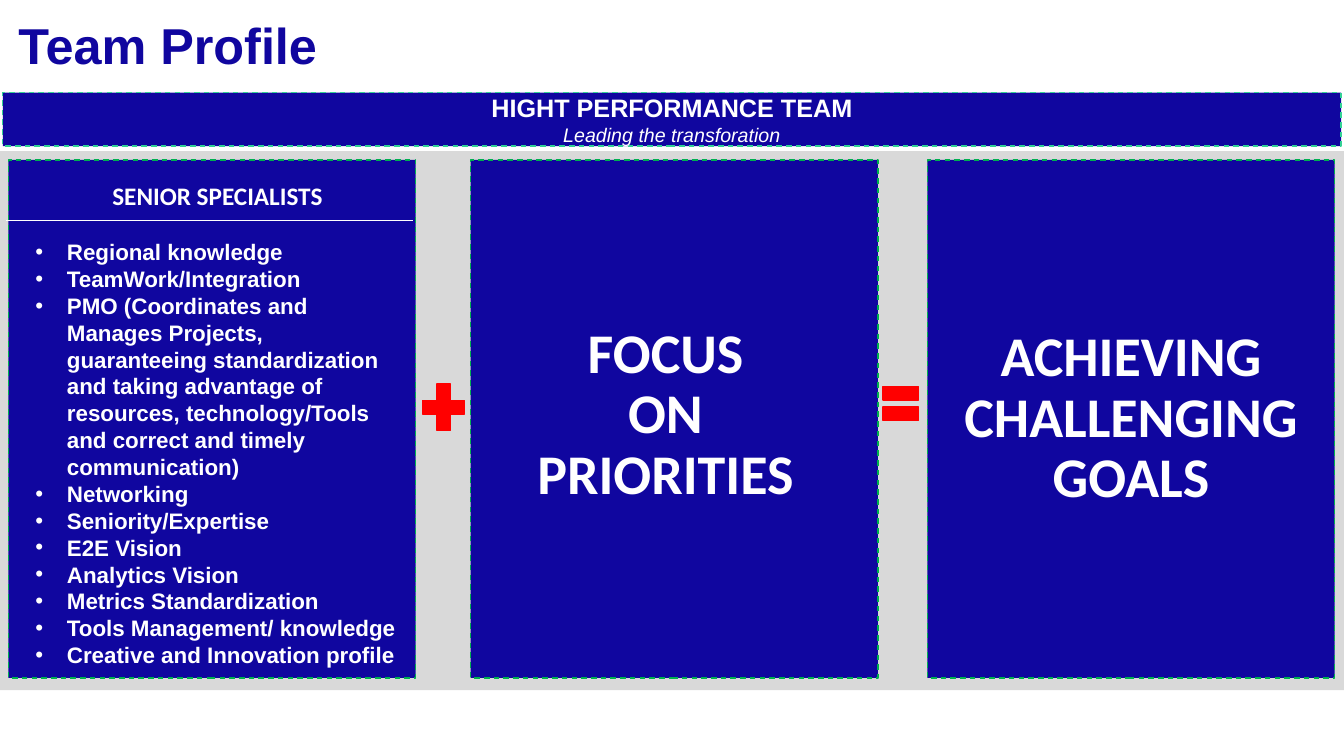
from pptx import Presentation
from pptx.dml.color import RGBColor
from pptx.enum.dml import MSO_LINE
from pptx.enum.shapes import MSO_CONNECTOR, MSO_SHAPE
from pptx.enum.text import MSO_ANCHOR, MSO_AUTO_SIZE, PP_ALIGN
from pptx.oxml.ns import qn
from pptx.util import Pt
from lxml import etree

RECT, PLUS, EQUAL = MSO_SHAPE.RECTANGLE, MSO_SHAPE.MATH_PLUS, MSO_SHAPE.MATH_EQUAL
LEFT, CENTER = PP_ALIGN.LEFT, PP_ALIGN.CENTER
TOP, MIDDLE = MSO_ANCHOR.TOP, MSO_ANCHOR.MIDDLE
DASH = MSO_LINE.DASH
NAVY, WHITE, GRAY, RED = "10069F", "FFFFFF", "D9D9D9", "FF0000"
MINT, GREEN = "33D196", "00B050"

TITLE = "Team Profile"
BANNER = "HIGHT PERFORMANCE TEAM"
MOTTO = "Leading the transforation"
HEADING = "SENIOR SPECIALISTS"
SKILLS = [
    "Regional knowledge",
    "TeamWork/Integration",
    "PMO (Coordinates and Manages Projects, guaranteeing standardization and taking "
    "advantage of resources, technology/Tools and correct and timely communication)",
    "Networking",
    "Seniority/Expertise",
    "E2E Vision",
    "Analytics Vision",
    "Metrics Standardization",
    "Tools Management/ knowledge",
    "Creative and Innovation profile",
]
FOCUS = ["FOCUS ", "ON ", "PRIORITIES "]
GOALS = ["ACHIEVING", "CHALLENGING", "GOALS"]

SLIDE_W, SLIDE_H = 960, 540
PANEL_LEFTS = [6, 336.2, 662.4]
PANEL_TOP, PANEL_W, PANEL_H = 114.2, 291, 370
SIGNS = [(PLUS, 296.4, 268.2, 41, 45.4), (EQUAL, 626.2, 267.8, 34.6, 41)]
INDENT = 22.5


def color(value):
    return RGBColor.from_string(value)


def add_box(s, kind, left, top, width, height, fill, line=None, dash=None):
    sp = s.shapes.add_shape(kind, Pt(left), Pt(top), Pt(width), Pt(height))
    sp.shadow.inherit = False
    sp.fill.solid()
    sp.fill.fore_color.rgb = color(fill)
    if line:
        sp.line.color.rgb = color(line)
        sp.line.width = Pt(1)
        sp.line.dash_style = dash
    else:
        sp.line.fill.background()
    return sp


def add_text_box(s, left, top, width, height):
    return s.shapes.add_textbox(Pt(left), Pt(top), Pt(width), Pt(height))


def set_frame(tf, anchor):
    tf.word_wrap = True
    tf.auto_size = MSO_AUTO_SIZE.NONE
    tf.vertical_anchor = anchor


def add_line(tf, text, size, font="Arial", fill=WHITE, align=CENTER,
             bold=True, italic=False, spacing=None):
    """Fill the first paragraph of a frame, or append one when it is taken."""
    p = tf.paragraphs[0] if not tf.paragraphs[0].runs else tf.add_paragraph()
    p.alignment = align
    p.line_spacing = spacing
    r = p.add_run()
    r.text = text
    r.font.name, r.font.size = font, Pt(size)
    r.font.bold, r.font.italic = bold, italic
    r.font.color.rgb = color(fill)
    return p


def add_bullet(p):
    pPr = p._p.get_or_add_pPr()
    pPr.set("marL", str(Pt(INDENT)))
    pPr.set("indent", str(-Pt(INDENT)))
    etree.SubElement(pPr, qn("a:buFont")).set("typeface", "Arial")
    etree.SubElement(pPr, qn("a:buChar")).set("char", "•")


def add_slogan(tf, lines, anchor):
    set_frame(tf, anchor)
    for line in lines:
        add_line(tf, line, 40, "Calibri", spacing=0.9)


def main():
    prs = Presentation()
    prs.slide_width, prs.slide_height = Pt(SLIDE_W), Pt(SLIDE_H)
    s = prs.slides.add_slide(prs.slide_layouts[5])

    title = s.shapes.title
    title.left, title.top, title.width, title.height = Pt(6), Pt(-7), Pt(1002), Pt(83)
    set_frame(title.text_frame, MIDDLE)
    add_line(title.text_frame, TITLE, 36, fill=NAVY, align=LEFT, spacing=0.9)

    banner = add_box(s, RECT, 2, 66.2, 956, 38.2, NAVY, MINT, DASH)
    set_frame(banner.text_frame, MIDDLE)
    add_line(banner.text_frame, BANNER, 18)
    add_line(banner.text_frame, MOTTO, 14, bold=False, italic=True)

    add_box(s, RECT, 0, 108, SLIDE_W, 385, GRAY)
    panels = [add_box(s, RECT, left, PANEL_TOP, PANEL_W, PANEL_H, NAVY, GREEN, DASH)
              for left in PANEL_LEFTS]

    skills = add_text_box(s, 18.2, 127.4, 274.3, 356.4).text_frame
    set_frame(skills, TOP)
    add_line(skills, HEADING, 18, "Calibri", spacing=0.9)
    for i, skill in enumerate(SKILLS):
        p = add_line(skills, skill, 16, align=LEFT)
        p.space_before = Pt(0 if i else 19.8)
        add_bullet(p)

    focus = add_text_box(s, 342.7, 228.6, 274.3, 138.2)
    add_slogan(focus.text_frame, FOCUS, TOP)
    add_slogan(panels[2].text_frame, GOALS, MIDDLE)

    for kind, left, top, width, height in SIGNS:
        add_box(s, kind, left, top, width, height, RED, RED)

    rule = s.shapes.add_connector(MSO_CONNECTOR.STRAIGHT, Pt(4.3), Pt(157.5), Pt(295.2), Pt(157.5))
    rule.line.color.rgb = color(WHITE)
    rule.line.width = Pt(0.5)
    etree.SubElement(rule._element.spPr, qn("a:effectLst"))

    prs.save("out.pptx")


if __name__ == "__main__":
    main()
